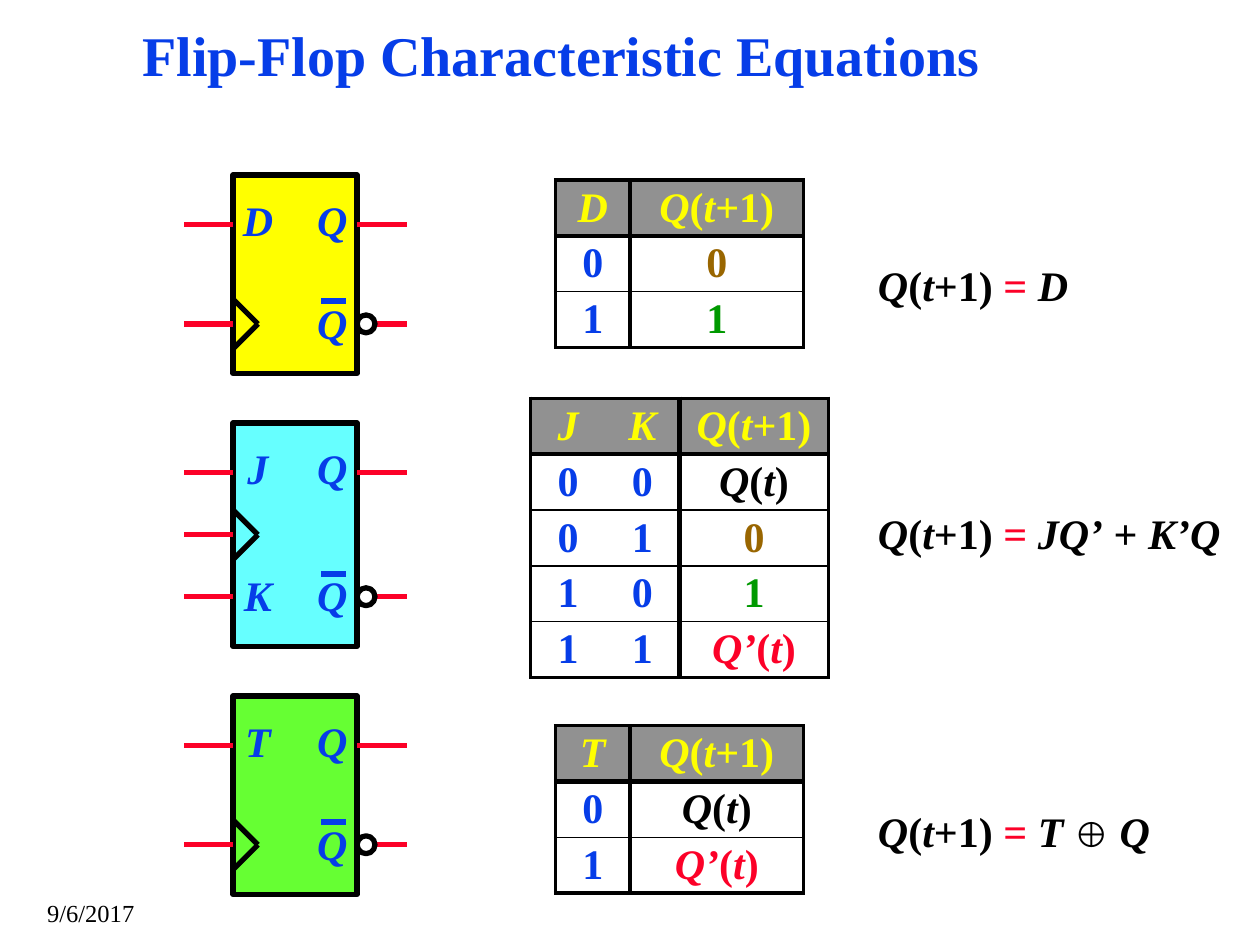
from dataclasses import dataclass
from itertools import groupby

from lxml.etree import SubElement
from pptx import Presentation
from pptx.dml.color import RGBColor
from pptx.enum.shapes import MSO_CONNECTOR, MSO_SHAPE
from pptx.enum.text import MSO_ANCHOR, PP_ALIGN
from pptx.oxml.ns import qn
from pptx.util import Cm, Inches, Pt


@dataclass(frozen=True)
class Theme:
    font: str = "Times New Roman"
    title_size: int = 32
    body_size: int = 24
    symbol_size: int = 20
    date_size: int = 14
    black: str = "000000"
    white: str = "FFFFFF"
    blue: str = "063DE8"
    red: str = "FC0128"
    brown: str = "996600"
    green: str = "009900"
    header_text: str = "FFFF00"
    header_fill: str = "919191"
    yellow_block: str = "FFFF00"
    cyan_block: str = "66FFFF"
    green_block: str = "66FF33"
    heavy: float = 3
    frame: float = 2.25
    thin: float = 1


THEME = Theme()
RESULT_COLORS = {"0": THEME.brown, "1": THEME.green, "Q(t)": THEME.black, "Q’(t)": THEME.red}


def grid(units):
    return Cm(units * 0.5)


def is_variable(character):
    return character.isalpha() or character == "’"


class FlipFlopSlide:
    def __init__(self, slide, theme):
        self.slide = slide
        self.theme = theme

    def run(self, paragraph, text, color, size, bold=True, italic=False):
        run = paragraph.add_run()
        run.text = text
        run.font.name = self.theme.font
        run.font.size = Pt(size)
        run.font.bold = bold
        run.font.italic = italic
        run.font.color.rgb = RGBColor.from_string(color)

    def formula(self, paragraph, text, color, size=None):
        for italic, characters in groupby(text, is_variable):
            self.run(paragraph, "".join(characters), color,
                     size or self.theme.body_size, italic=italic)

    def text_box(self, shapes, left, top, width, height, spacing=1.0,
                 align=PP_ALIGN.LEFT, anchor=MSO_ANCHOR.TOP, insets=(0, 0)):
        box = shapes.add_textbox(grid(left), grid(top), grid(width), grid(height))
        frame = box.text_frame
        frame.word_wrap = True
        frame.vertical_anchor = anchor
        frame.margin_left = frame.margin_right = grid(insets[0])
        frame.margin_top = frame.margin_bottom = grid(insets[1])
        paragraph = frame.paragraphs[0]
        paragraph.alignment = align
        paragraph.line_spacing = spacing
        return paragraph

    def title(self, text):
        paragraph = self.text_box(self.slide.shapes, 5.4, 1.06, 44, 2.64, 0.87, insets=(0.35, 0.15))
        self.run(paragraph, text, self.theme.blue, self.theme.title_size)

    def date(self, text):
        paragraph = self.text_box(self.slide.shapes, 1.4, 36.06, 14, 1.6,
                                  anchor=MSO_ANCHOR.BOTTOM, insets=(0.5, 0.25))
        self.run(paragraph, text, self.theme.black, self.theme.date_size, bold=False)

    def equation(self, top, width, *terms):
        paragraph = self.text_box(self.slide.shapes, 35.4, top, width, 2.44, 1.2)
        self.formula(paragraph, "Q(t+1) ", self.theme.black)
        self.formula(paragraph, "= ", self.theme.red)
        for text, size in terms:
            self.formula(paragraph, text, self.theme.black, size)

    def shape(self, shapes, kind, left, top, width, height, fill):
        shape = shapes.add_shape(kind, grid(left), grid(top), grid(width), grid(height))
        shape.shadow.inherit = False
        shape.fill.solid()
        shape.fill.fore_color.rgb = RGBColor.from_string(fill)
        shape.line.color.rgb = RGBColor.from_string(self.theme.black)
        shape.line.width = Pt(self.theme.heavy)
        return shape

    def line(self, shapes, start, end, color):
        connector = shapes.add_connector(MSO_CONNECTOR.STRAIGHT, *map(grid, start + end))
        connector.line.color.rgb = RGBColor.from_string(color)
        connector.line.width = Pt(self.theme.heavy)
        SubElement(connector._element.spPr, qn("a:effectLst"))
        return connector

    def label(self, shapes, left, top, text):
        paragraph = self.text_box(shapes, left, top, 2, 1.83, 0.9, PP_ALIGN.CENTER)
        self.formula(paragraph, text, self.theme.blue)

    def flip_flop(self, top, height, fill, clock, upper_input, lower_input=None):
        theme, left, right = self.theme, 9.4, 14.4
        shapes = self.slide.shapes.add_group_shape().shapes
        block = self.shape(shapes, MSO_SHAPE.RECTANGLE, left, top, right - left, height, fill)
        upper, lower, clock_row = top + 2, top + height - 2, top + clock
        for side in (-1, 1):
            self.line(shapes, (left, clock_row + side), (left + 1, clock_row), theme.black)
        for row in sorted({upper, clock_row, lower}):
            wire = self.line(shapes, (left, row), (left - 2, row), theme.red)
            if row == top + height / 2:
                wire.begin_connect(block, 1)
        for row in (upper, lower):
            self.line(shapes, (right, row), (right + 2, row), theme.red)
        self.shape(shapes, MSO_SHAPE.OVAL, right, lower - 0.36, 0.72, 0.72, theme.white)
        self.label(shapes, left, upper - 1, upper_input)
        if lower_input:
            self.label(shapes, left, lower - 0.85, lower_input)
        self.label(shapes, right - 2, upper - 1, "Q")
        self.label(shapes, right - 2, lower - 0.85, "Q")
        self.line(shapes, (right - 1.45, lower - 0.92), (right - 0.45, lower - 0.92), theme.blue)

    def borders(self, cell, **widths):
        properties = cell._tc.get_or_add_tcPr()
        for side in "LRTB":
            width = widths[side]
            edge = SubElement(properties, qn(f"a:ln{side}"), w=str(Pt(width)))
            if width:
                fill = SubElement(edge, qn("a:solidFill"))
                SubElement(fill, qn("a:srgbClr"), val=self.theme.black)
            else:
                SubElement(edge, qn("a:noFill"))

    def truth_table(self, left, top, columns, rows):
        theme, row_height = self.theme, 2.25
        table = self.slide.shapes.add_table(
            len(rows), len(columns), grid(left), grid(top),
            grid(sum(columns)), grid(row_height * len(rows))).table
        table.horz_banding = False
        for column, width in zip(table.columns, columns):
            column.width = grid(width)
        vertical = [theme.frame] + [0] * (len(columns) - 2) + [theme.heavy, theme.frame]
        horizontal = [theme.frame, theme.heavy] + [theme.thin] * (len(rows) - 2) + [theme.frame]
        for i, values in enumerate(rows):
            table.rows[i].height = grid(row_height)
            for j, value in enumerate(values):
                cell = table.cell(i, j)
                self.borders(cell, L=vertical[j], R=vertical[j + 1],
                             T=horizontal[i], B=horizontal[i + 1])
                cell.fill.solid()
                cell.fill.fore_color.rgb = RGBColor.from_string(
                    theme.white if i else theme.header_fill)
                cell.margin_left = cell.margin_right = cell.margin_top = cell.margin_bottom = 0
                cell.vertical_anchor = MSO_ANCHOR.MIDDLE
                paragraph = cell.text_frame.paragraphs[0]
                paragraph.alignment = PP_ALIGN.CENTER
                is_result = j == len(columns) - 1
                color = RESULT_COLORS[value] if i and is_result else theme.blue
                self.formula(paragraph, value, color if i else theme.header_text)


def main():
    presentation = Presentation()
    presentation.slide_width, presentation.slide_height = Inches(10), Inches(7.5)
    page = FlipFlopSlide(presentation.slides.add_slide(presentation.slide_layouts[6]), THEME)
    page.title("Flip-Flop Characteristic Equations")

    page.flip_flop(7.06, 8, THEME.yellow_block, 6, "D")
    page.truth_table(22.4, 7.26, (3, 7), [("D", "Q(t+1)"), ("0", "0"), ("1", "1")])
    page.equation(10.06, 9, ("D", None))

    page.flip_flop(17.06, 9, THEME.cyan_block, 4.5, "J", "K")
    page.truth_table(21.4, 16.06, (3, 3, 6), [
        ("J", "K", "Q(t+1)"), ("0", "0", "Q(t)"), ("0", "1", "0"),
        ("1", "0", "1"), ("1", "1", "Q’(t)")])
    page.equation(20.06, 14, ("JQ’ + K’Q", None))

    page.flip_flop(28.06, 8, THEME.green_block, 6, "T")
    page.truth_table(22.4, 29.26, (3, 7), [("T", "Q(t+1)"), ("0", "Q(t)"), ("1", "Q’(t)")])
    page.equation(32.06, 13, ("T ", None), ("⊕", THEME.symbol_size), (" Q", None))

    page.date("9/6/2017")
    presentation.save("out.pptx")


if __name__ == "__main__":
    main()
